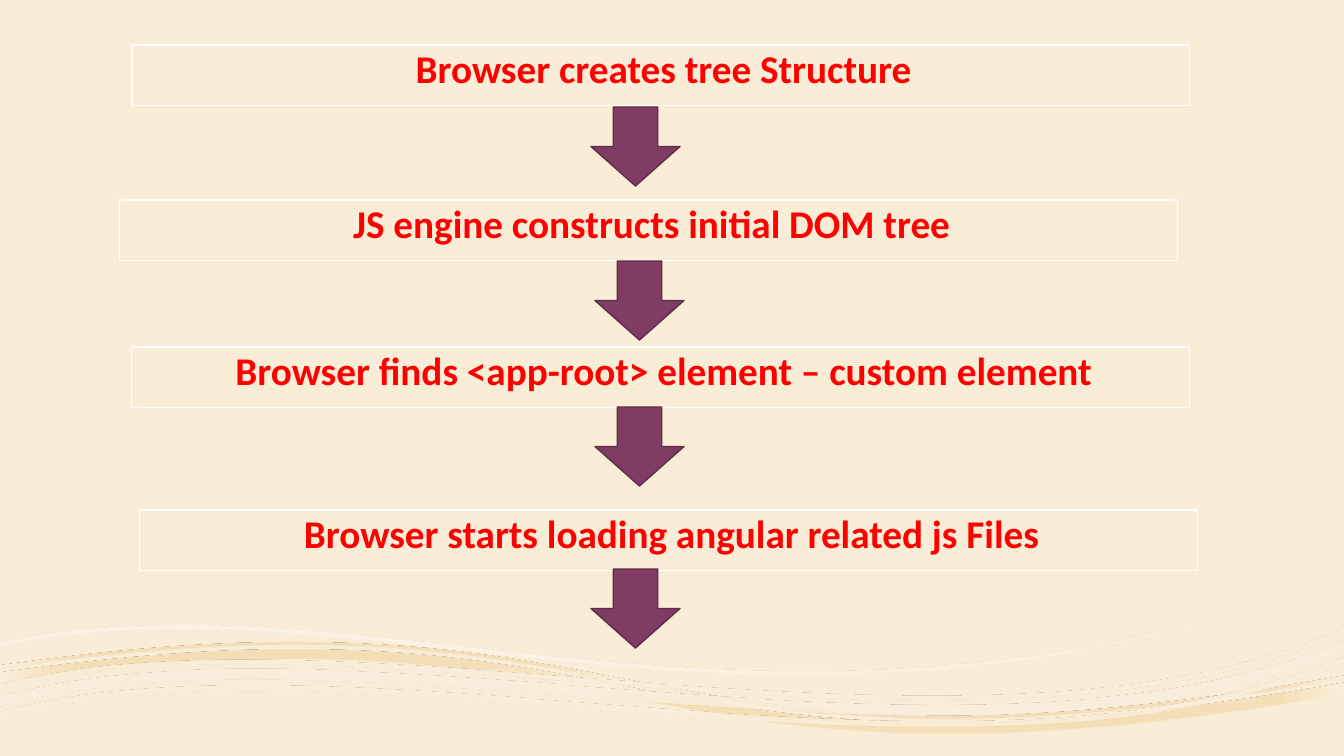
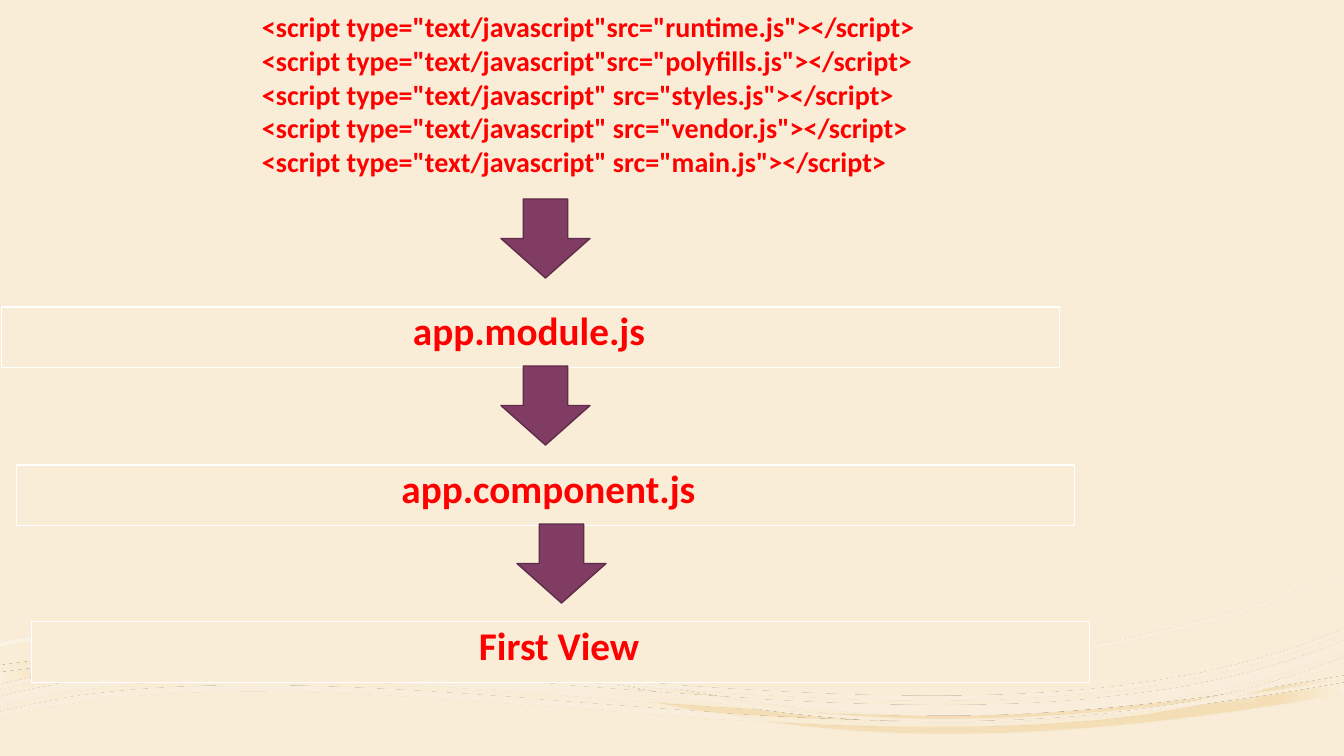
"""Build two flow slides on how a browser loads an Angular application."""
from math import cos, radians, sin
from typing import NamedTuple

from pptx import Presentation, util as u
from pptx.dml.color import RGBColor
from pptx.enum import shapes, text
from pptx.oxml import parse_xml
from pptx.oxml.ns import nsdecls, qn

SCALE = 12192000 / 1344
FONT = "Calibri"
CREAM, WHITE, RED = "F9EDD7", "FFFFFF", "FF0000"
PLUM, DARK_PLUM = "803C63", "5F2C49"
BOX_W, BOX_H = 1058, 61
ARROW_W, ARROW_H = 89, 79
TILT = -3.5

Point = tuple[int, int]
Curve = tuple[Point, Point, Point, Point]


class Step(NamedTuple):
    label: str
    x: int
    y: int


class Wave(NamedTuple):
    frame: tuple[int, int, int, int]
    contours: list[list[Curve]]
    stops: list[tuple[int, str, int]]
    shade: str


def radial(kind: str, l: int, t: int, r: int, b: int) -> str:
    return (f'<a:path path="{kind}"><a:fillToRect l="{l}000" t="{t}000" '
            f'r="{r}000" b="{b}000"/></a:path>')


WAVES = [
    Wave((1, 617, 1342, 136),
         [[((308, 650), (675, 652), (744, 788), (1344, 683)),
           ((1344, 694), (607, 823), (672, 588), (0, 683)),
           ((0, 673), (125, 656), (224, 649), (308, 650))],
          [((308, 643), (675, 645), (744, 781), (1344, 676)),
           ((1344, 679), (607, 808), (672, 574), (0, 669)),
           ((0, 666), (125, 648), (224, 642), (308, 643))]],
         [(0, "FAF1DF", 90), (18, "F4DEB7", 100), (37, "F4DDB3", 90), (100, "FAF1DF", 100)],
         radial("shape", 50, 50, 50, 50)),
    Wave((3, 593, 1346, 172),
         [[((1344, 575), (1344, 576), (1344, 577), (1344, 578)),
           ((1344, 578), (760, 794), (376, 568), (0, 646)),
           ((0, 642), (376, 563), (760, 790), (1344, 575))]],
         [(36, WHITE, 30), (100, CREAM, 48)],
         '<a:lin ang="2700000" scaled="0"/>'),
    Wave((-1, 630, 1347, 116),
         [[((1344, 662), (963, 822), (352, 623), (0, 718)),
           ((0, 712), (352, 617), (963, 816), (1344, 657))],
          [((1344, 651), (963, 810), (352, 611), (0, 706)),
           ((0, 697), (352, 600), (963, 800), (1344, 641))],
          [((1344, 633), (966, 796), (354, 598), (0, 689)),
           ((0, 685), (354, 594), (966, 792), (1344, 629))]],
         [(36, WHITE, 47), (100, "FAEFDC", 82)],
         radial("rect", 100, 100, 0, 0)),
]

LOADING_STEPS = [
    Step("Browser creates tree Structure", 132, 45),
    Step("JS engine constructs initial DOM tree", 120, 200),
    Step("Browser finds <app-root> element – custom element", 132, 347),
    Step("Browser starts loading angular related js Files", 140, 510),
]
LOADING_ARROWS = [(591, 107), (595, 261), (595, 407), (591, 569)]

SCRIPTS = [
    '<script type="text/javascript"src="runtime.js"></script>',
    '<script type="text/javascript"src="polyfills.js"></script>',
    '<script type="text/javascript" src="styles.js"></script>',
    '<script type="text/javascript" src="vendor.js"></script>',
    '<script type="text/javascript" src="main.js"></script>',
]
APP_STEPS = [
    Step("app.module.js ", 2, 307),
    Step("app.component.js", 17, 465),
    Step("First View ", 32, 622),
]
APP_ARROWS = [(501, 199), (501, 366), (517, 524)]


def px(n: float) -> u.Emu:
    return u.Emu(round(n * SCALE))


def rgb(value: str) -> RGBColor:
    return RGBColor.from_string(value)


def paint(sp, fill: str, line: str, width: float) -> None:
    sp.fill.solid()
    sp.fill.fore_color.rgb = rgb(fill)
    sp.line.color.rgb = rgb(line)
    sp.line.width = u.Pt(width)


def set_font(p, size: int) -> None:
    p.font.name = FONT
    p.font.size = u.Pt(size)
    p.font.bold = True
    p.font.color.rgb = rgb(RED)


def outline(wave: Wave):
    left, top, width, height = wave.frame
    c, s = cos(radians(-TILT)), sin(radians(-TILT))

    def pt(point: Point) -> str:
        dx, dy = point[0] - left - width / 2, point[1] - top - height / 2
        return (f'<a:pt x="{px(width / 2 + dx * c - dy * s)}" '
                f'y="{px(height / 2 + dx * s + dy * c)}"/>')

    parts = []
    for contour in wave.contours:
        for i, (start, *rest) in enumerate(contour):
            tag = "lnTo" if i else "moveTo"
            parts.append(f"<a:{tag}>{pt(start)}</a:{tag}>")
            parts.append(f'<a:cubicBezTo>{"".join(map(pt, rest))}</a:cubicBezTo>')
        parts.append("<a:close/>")
    return parse_xml(f'<a:pathLst {nsdecls("a")}><a:path w="{px(width)}" h="{px(height)}">'
                     f'{"".join(parts)}</a:path></a:pathLst>')


def gradient(wave: Wave):
    stops = "".join(
        f'<a:gs pos="{pos}000"><a:srgbClr val="{color}">'
        f'<a:alpha val="{alpha}000"/></a:srgbClr></a:gs>'
        for pos, color, alpha in wave.stops)
    return parse_xml(f'<a:gradFill {nsdecls("a")} rotWithShape="1">'
                     f'<a:gsLst>{stops}</a:gsLst>{wave.shade}</a:gradFill>')


def add_wave(group, wave: Wave) -> None:
    left, top, width, height = map(px, wave.frame)
    right, bottom = left + width, top + height
    builder = group.shapes.build_freeform(left, top, scale=1.0)
    builder.add_line_segments([(right, top), (right, bottom), (left, bottom)], close=True)
    sp = builder.convert_to_shape()
    sp.rotation = TILT
    sp.shadow.inherit = False
    sp.line.fill.background()
    sp.fill.gradient()
    sp_pr = sp._element.spPr
    sp_pr.replace(sp_pr.find(qn("a:gradFill")), gradient(wave))
    geometry = sp_pr.find(qn("a:custGeom"))
    geometry.replace(geometry.find(qn("a:pathLst")), outline(wave))


def style_master(prs, slide) -> None:
    master = prs.slide_master
    master.background.fill.solid()
    master.background.fill.fore_color.rgb = rgb(CREAM)
    group = slide.shapes.add_group_shape()
    for wave in WAVES:
        add_wave(group, wave)
    master.shapes._spTree.insert(2, group._element)


def fill_step(sp, step: Step) -> None:
    sp.left, sp.top, sp.width, sp.height = map(px, (step.x, step.y, BOX_W, BOX_H))
    paint(sp, CREAM, WHITE, 0.75)
    tf = sp.text_frame
    tf.text = step.label
    tf.word_wrap = True
    tf.auto_size = text.MSO_AUTO_SIZE.NONE
    tf.vertical_anchor = text.MSO_ANCHOR.TOP
    p = tf.paragraphs[0]
    p.alignment = text.PP_ALIGN.CENTER
    p.line_spacing = 0.9
    p.space_before = u.Pt(18)
    set_font(p, 28)
    p_pr = p._p.get_or_add_pPr()
    p_pr.set("marL", str(px(5)))
    p_pr.set("indent", "0")
    p_pr.insert_element_before(parse_xml(f'<a:buNone {nsdecls("a")}/>'), "a:defRPr")


def add_step(slide, step: Step) -> None:
    sp = slide.shapes.add_shape(shapes.MSO_SHAPE.RECTANGLE, 0, 0, px(BOX_W), px(BOX_H))
    sp.shadow.inherit = False
    fill_step(sp, step)


def add_arrow(slide, x: int, y: int) -> None:
    sp = slide.shapes.add_shape(shapes.MSO_SHAPE.DOWN_ARROW, *map(px, (x, y, ARROW_W, ARROW_H)))
    sp.shadow.inherit = False
    paint(sp, PLUM, DARK_PLUM, 1)


def add_flow(slide, steps: list[Step], arrows: list[Point]) -> None:
    for step in steps:
        add_step(slide, step)
    for x, y in arrows:
        add_arrow(slide, x, y)


def add_scripts(slide) -> None:
    tf = slide.shapes.add_textbox(*map(px, (252, 5, 877, 179))).text_frame
    tf.word_wrap = True
    tf.auto_size = text.MSO_AUTO_SIZE.SHAPE_TO_FIT_TEXT
    tf.text = "\n".join(SCRIPTS)
    for p in tf.paragraphs:
        set_font(p, 20)


def main() -> None:
    prs = Presentation()
    prs.slide_width, prs.slide_height = px(1344), px(756)

    loading = prs.slides.add_slide(prs.slide_layouts[1])
    style_master(prs, loading)
    title, body = loading.placeholders
    title._element.getparent().remove(title._element)
    fill_step(body, LOADING_STEPS[0])
    add_flow(loading, LOADING_STEPS[1:], LOADING_ARROWS)

    app = prs.slides.add_slide(prs.slide_layouts[6])
    add_scripts(app)
    add_flow(app, APP_STEPS, APP_ARROWS)

    prs.save("out.pptx")


if __name__ == "__main__":
    main()
